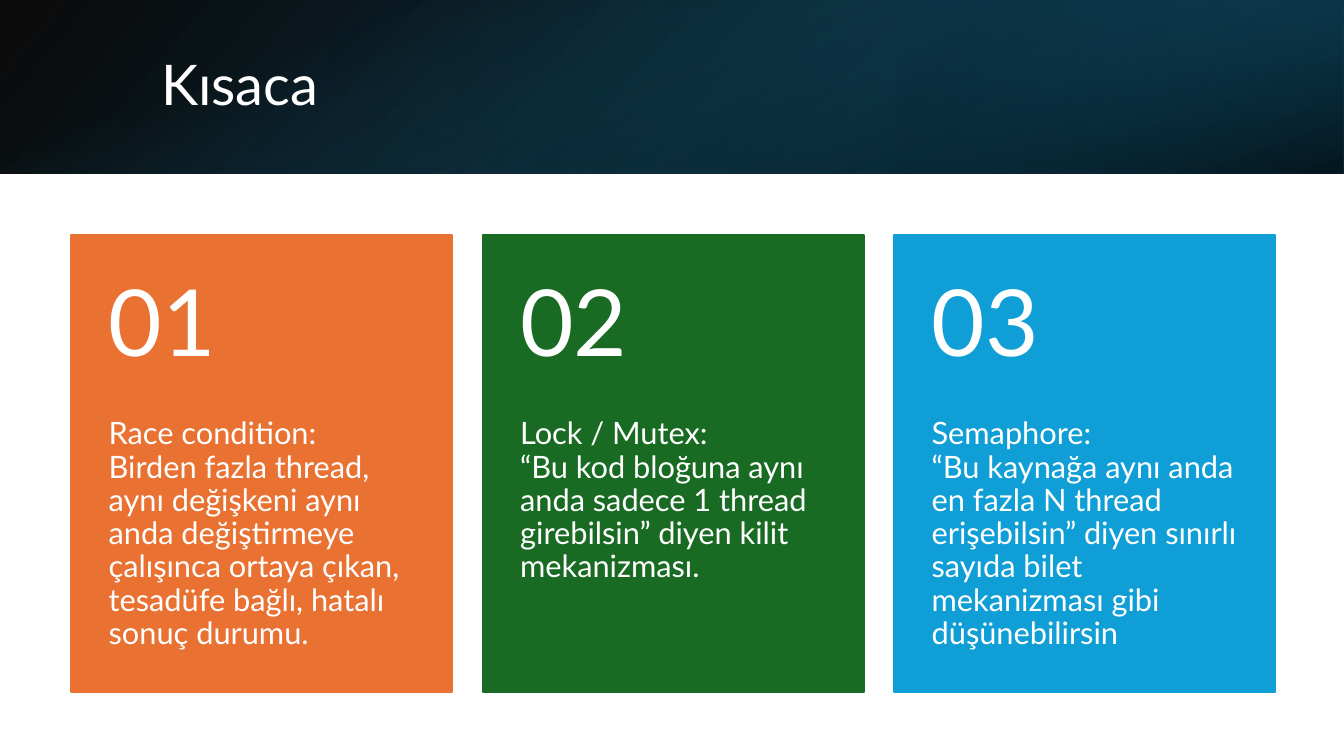
"""Build the summary slide with a shaded banner and three numbered cards."""
from lxml import etree
from pptx import Presentation
from pptx import util as u
from pptx.dml import color
from pptx.enum import shapes, text
from pptx.oxml import ns

COLORS = {
    "white": "FFFFFF",
    "black": "000000",
    "navy": "0B3041",
    "petrol": "104862",
    "teal": "156082",
    "orange": "E97132",
    "green": "196B24",
    "blue": "0F9ED5",
}
WIDTH, HEIGHT, BANNER_HEIGHT = 33.87, 19.05, 4.37
CARD_LEFT, CARD_TOP, CARD_WIDTH, CARD_HEIGHT = 1.8, 5.92, 9.6, 11.53
CARD_PITCH, NUMBER_HEIGHT = 10.37, 4.62
CARDS = [
    ("orange", "Race condition:\nBirden fazla thread, aynı değişkeni aynı anda değiştirmeye "
               "çalışınca ortaya çıkan,\ntesadüfe bağlı, hatalı sonuç durumu."),
    ("green", "Lock / Mutex:\n“Bu kod bloğuna aynı anda sadece 1 thread girebilsin” "
              "diyen kilit mekanizması."),
    ("blue", "Semaphore:\n“Bu kaynağa aynı anda en fazla N thread erişebilsin” diyen "
             "sınırlı sayıda bilet mekanizması gibi düşünebilirsin"),
]


def rgb(name):
    return color.RGBColor.from_string(COLORS[name])


def write_text(frame, content, *, size, font="Lato", ink="white", spacing=0.9):
    paragraph = frame.paragraphs[0]
    paragraph.text = content
    paragraph.line_spacing = spacing
    paragraph.alignment = text.PP_ALIGN.LEFT
    for run in paragraph.runs:
        run.font.name = font
        run.font.size = u.Pt(size)
        run.font.color.rgb = rgb(ink)


class SlideBuilder:
    def __init__(self, slide, font="Lato"):
        self.slide = slide
        self.font = font

    def rectangle(self, left, top, width, height):
        shape = self.slide.shapes.add_shape(
            shapes.MSO_SHAPE.RECTANGLE, *map(u.Cm, (left, top, width, height)))
        shape.shadow.inherit = False
        return shape

    def panel(self, box, fill):
        shape = self.rectangle(*box)
        shape.fill.solid()
        shape.fill.fore_color.rgb = rgb(fill)
        shape.line.color.rgb = rgb(fill)
        shape.line.width = u.Pt(1.5)

    def shade(self, box, stops, angle, rotation=0, flipped=False):
        shape = self.rectangle(*box)
        shape.rotation = rotation
        shape.line.fill.background()
        shape.fill.gradient()
        shape.fill.gradient_angle = 360 - angle
        for stop, (position, name, _) in zip(shape.fill.gradient_stops, stops):
            stop.position = position / 100
            stop.color.rgb = rgb(name)
        properties = shape._element.spPr
        for element, (_, _, opacity) in zip(properties.iter(ns.qn("a:srgbClr")), stops):
            etree.SubElement(element, ns.qn("a:alpha"), val=str(opacity * 1000))
        if flipped:
            properties.find(ns.qn("a:xfrm")).set("flipH", "1")

    def label(self, box, content, size, insets=(0.25, 0.13, 0.25, 0.13), middle=True):
        frame = self.slide.shapes.add_textbox(*map(u.Cm, box)).text_frame
        frame.word_wrap = True
        frame.margin_left, frame.margin_top, frame.margin_right, frame.margin_bottom = map(
            u.Cm, insets)
        frame.vertical_anchor = text.MSO_ANCHOR.MIDDLE if middle else text.MSO_ANCHOR.TOP
        write_text(frame, content, size=size, font=self.font)

    def card(self, index, fill, content):
        left = CARD_LEFT + index * CARD_PITCH
        self.panel((left, CARD_TOP, CARD_WIDTH, CARD_HEIGHT), fill)
        self.label((left, CARD_TOP + NUMBER_HEIGHT, CARD_WIDTH, CARD_HEIGHT - NUMBER_HEIGHT),
                   content, 22, (0.94, 0, 0.94, 0.91), middle=False)
        self.label((left, CARD_TOP, CARD_WIDTH, NUMBER_HEIGHT),
                   f"{index + 1:02}", 66, (0.94, 0.46, 0.94, 0.46))


def main():
    presentation = Presentation()
    presentation.slide_width, presentation.slide_height = u.Cm(WIDTH), u.Cm(HEIGHT)
    builder = SlideBuilder(presentation.slides.add_slide(presentation.slide_layouts[6]))
    builder.shade((0, 0, WIDTH, BANNER_HEIGHT),
                  [(0, "black", 96), (100, "petrol", 100)], 140, flipped=True)
    builder.shade((WIDTH * 2 / 3, 0, WIDTH / 3, BANNER_HEIGHT),
                  [(19, "navy", 68), (100, "teal", 79)], 320, rotation=180, flipped=True)
    offset = (WIDTH - BANNER_HEIGHT) / 2
    builder.shade((offset, -offset, BANNER_HEIGHT, WIDTH),
                  [(23, "teal", 0), (99, "black", 74)], 340, rotation=90)
    builder.label((3.81, 0.97, 27.89, 2.44), "Kısaca", 40)
    for index, (fill, content) in enumerate(CARDS):
        builder.card(index, fill, content)
    presentation.save("out.pptx")


if __name__ == "__main__":
    main()
